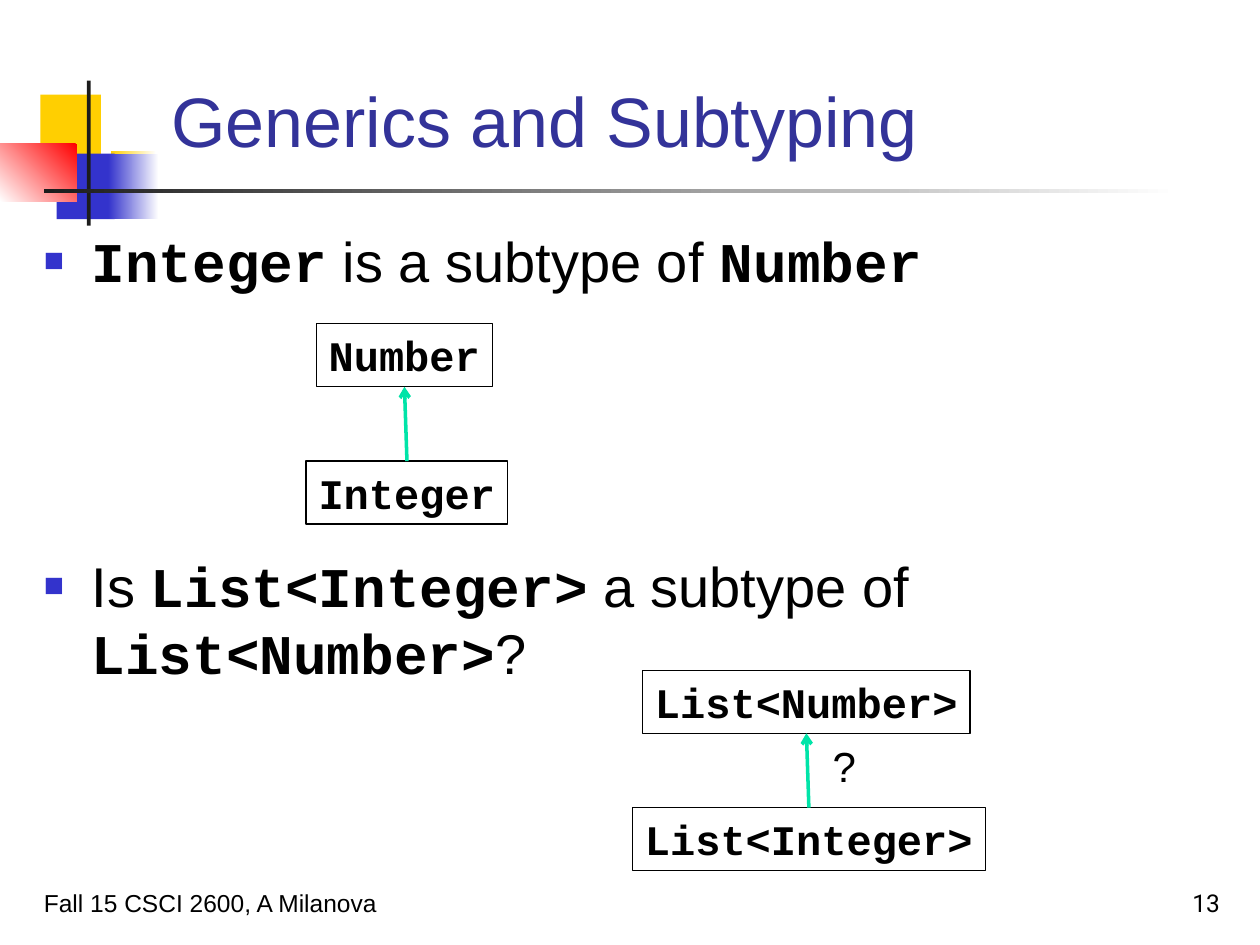
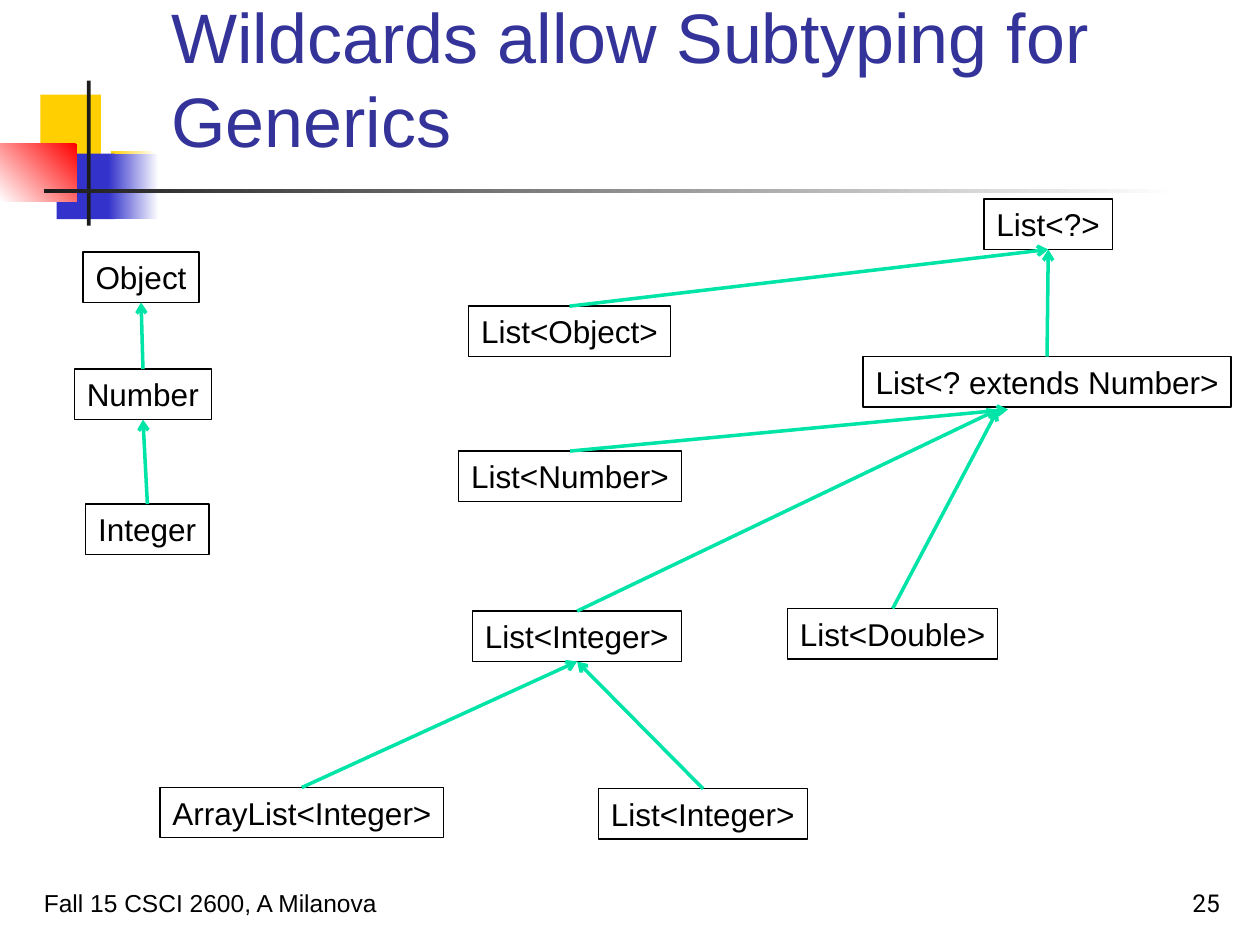
"""Build two slides on generics and subtyping."""
from lxml.etree import SubElement
from pptx import Presentation
from pptx.dml.color import RGBColor
from pptx.enum.shapes import MSO_CONNECTOR, MSO_SHAPE
from pptx.enum.text import MSO_ANCHOR, MSO_AUTO_SIZE, PP_ALIGN
from pptx.oxml.ns import qn
from pptx.util import Pt

PX = 9144
HUES = {
    "gold": "FFCF01", "blue": "3333CC", "red": "FF0000", "dark": "1C1C1C",
    "white": "FFFFFF", "title": "333399", "black": "000000", "mint": "00E4A8",
}
FONTS = {
    "title": {"name": "Arial", "size": Pt(40)},
    "body": {"name": "Arial", "size": Pt(32)},
    "code": {"name": "Courier New", "size": Pt(32), "bold": True},
    "foot": {"name": "Arial", "size": Pt(14)},
    "page": {"name": "Roboto", "size": Pt(14)},
    "mark": {"name": "Arial", "size": Pt(24)},
    "big": {"name": "Courier New", "size": Pt(24), "bold": True},
    "small": {"name": "Arial", "size": Pt(18)},
}
BANDS = [
    ((32, 75, 48, 52), ["gold"], 0),
    ((88, 120, 36, 52), ["white", "gold"], 180),
    ((45, 122, 46, 52), ["blue"], 0),
    ((86, 122, 40, 52), ["white", "blue"], 180),
    ((0, 114, 61, 46), ["red", "white"], 225),
    ((69, 64, 3, 115), ["dark"], 0),
    ((35, 150, 900, 3), ["white", "dark"], 180),
]
FOOT = "Fall 15 CSCI 2600, A Milanova"
SLIDES = [
    {
        "title": "Generics and Subtyping",
        "page": "13",
        "points": [
            (8, [("Integer", "code"), (" is a subtype of ", "body"), ("Number", "code")]),
            (147, [("Is ", "body"), ("List<Integer>", "code"), (" a subtype of ", "body"),
                   ("List<Number>", "code"), ("?", "body")]),
        ],
        "marks": [("?", (651, 583, 38, 50))],
        "style": "big",
        "high": 50,
        "boxes": {
            "num": ("Number", 251, 257, 140),
            "int": ("Integer", 243, 366, 160),
            "listnum": ("List<Number>", 510, 532, 260),
            "listint": ("List<Integer>", 502, 641, 280),
        },
        "links": [("int", "num"), ("listint", "listnum")],
    },
    {
        "title": "Wildcards allow Subtyping for Generics",
        "page": "25",
        "points": [],
        "marks": [],
        "style": "small",
        "high": 40,
        "boxes": {
            "obj": ("Object", 66, 200, 92),
            "num": ("Number", 59, 293, 109),
            "int": ("Integer", 68, 400, 98),
            "listobj": ("List<Object>", 372, 243, 160),
            "listnum": ("List<Number>", 364, 358, 177),
            "listint": ("List<Integer>", 375, 485, 166),
            "array": ("ArrayList<Integer>", 127, 625, 225),
            "leaf": ("List<Integer>", 475, 626, 166),
            "double": ("List<Double>", 625, 483, 167),
            "extends": ("List<? extends Number>", 685, 283, 292),
            "any": ("List<?>", 781, 158, 102),
        },
        "links": [
            ("num", "obj"), ("int", "num"), ("listnum", (800, 325)),
            ("double", (792, 325)), ("listint", (792, 325)), ("array", "listint"),
            ("leaf", "listint"), ("extends", "any"), ("listobj", "any"),
        ],
    },
]


def hue(name):
    return RGBColor.from_string(HUES[name])


def scale(*nums):
    return [num * PX for num in nums]


def add_run(para, text, style, tint="black"):
    run = para.add_run()
    run.text = text
    run.font.color.rgb = hue(tint)
    for key, val in FONTS[style].items():
        setattr(run.font, key, val)


def set_frame(shape, **looks):
    for key, val in looks.items():
        setattr(shape.text_frame, key, val)


def add_text(slide, place, text, style, tint="black", align=PP_ALIGN.LEFT, **looks):
    shape = slide.shapes.add_textbox(*scale(*place))
    set_frame(shape, **{"word_wrap": True, "vertical_anchor": MSO_ANCHOR.BOTTOM, **looks})
    para = shape.text_frame.paragraphs[0]
    para.alignment = align
    add_run(para, text, style, tint)


def add_rect(slide, place):
    shape = slide.shapes.add_shape(MSO_SHAPE.RECTANGLE, *scale(*place))
    shape.shadow.inherit = False
    return shape


def add_band(slide, place, tints, angle):
    shape = add_rect(slide, place)
    shape.line.fill.background()
    fill = shape.fill
    if len(tints) == 1:
        fill.solid()
        fill.fore_color.rgb = hue(tints[0])
        return
    fill.gradient()
    fill.gradient_angle = angle
    for stop, tint in zip(fill.gradient_stops, tints):
        stop.color.rgb = hue(tint)


def add_points(slide, points):
    shape = slide.shapes.add_textbox(*scale(25, 175, 954, 496))
    frame = shape.text_frame
    frame.word_wrap = True
    for num, (gap, runs) in enumerate(points):
        para = frame.add_paragraph() if num else frame.paragraphs[0]
        para.space_before = Pt(gap)
        props = para._p.get_or_add_pPr()
        props.set("marL", str(38 * PX))
        props.set("indent", str(-38 * PX))
        SubElement(SubElement(props, qn("a:buClr")), qn("a:srgbClr"), val=HUES["blue"])
        SubElement(props, qn("a:buSzPct"), val="60000")
        SubElement(props, qn("a:buFont"), typeface="Arial")
        SubElement(props, qn("a:buChar"), char="■")
        for text, style in runs:
            add_run(para, text, style)


def add_box(slide, text, place, style):
    shape = add_rect(slide, place)
    shape.fill.background()
    shape.line.color.rgb = hue("black")
    shape.line.width = Pt(0.75)
    set_frame(shape, word_wrap=True, auto_size=MSO_AUTO_SIZE.NONE,
              margin_right=0, vertical_anchor=MSO_ANCHOR.TOP)
    para = shape.text_frame.paragraphs[0]
    para.alignment = PP_ALIGN.LEFT
    add_run(para, text, style)
    return shape


def add_link(slide, boxes, start, end):
    tip = (0, 0) if end in boxes else end
    link = slide.shapes.add_connector(MSO_CONNECTOR.STRAIGHT, 0, 0, *scale(*tip))
    link.begin_connect(boxes[start], 0)
    if end in boxes:
        link.end_connect(boxes[end], 2)
    link.line.color.rgb = hue("mint")
    link.line.width = Pt(2)
    SubElement(link.line._get_or_add_ln(), qn("a:tailEnd"), type="arrow")
    SubElement(link._element.spPr, qn("a:effectLst"))


def add_slide(deck, data):
    slide = deck.slides.add_slide(deck.slide_layouts[6])
    for band in BANDS:
        add_band(slide, *band)
    add_text(slide, (126, 23, 852, 110), data["title"], "title", "title")
    if data["points"]:
        add_points(slide, data["points"])
    add_text(slide, (25, 683, 517, 50), FOOT, "foot")
    add_text(slide, (770, 683, 208, 50), data["page"], "page", align=PP_ALIGN.RIGHT)
    boxes = {
        key: add_box(slide, text, (left, top, wide, data["high"]), data["style"])
        for key, (text, left, top, wide) in data["boxes"].items()
    }
    for start, end in data["links"]:
        add_link(slide, boxes, start, end)
    for text, place in data["marks"]:
        add_text(slide, place, text, "mark", word_wrap=False,
                 vertical_anchor=MSO_ANCHOR.TOP)


def main():
    deck = Presentation()
    deck.slide_width, deck.slide_height = scale(1000, 750)
    for data in SLIDES:
        add_slide(deck, data)
    deck.save("out.pptx")


if __name__ == "__main__":
    main()
